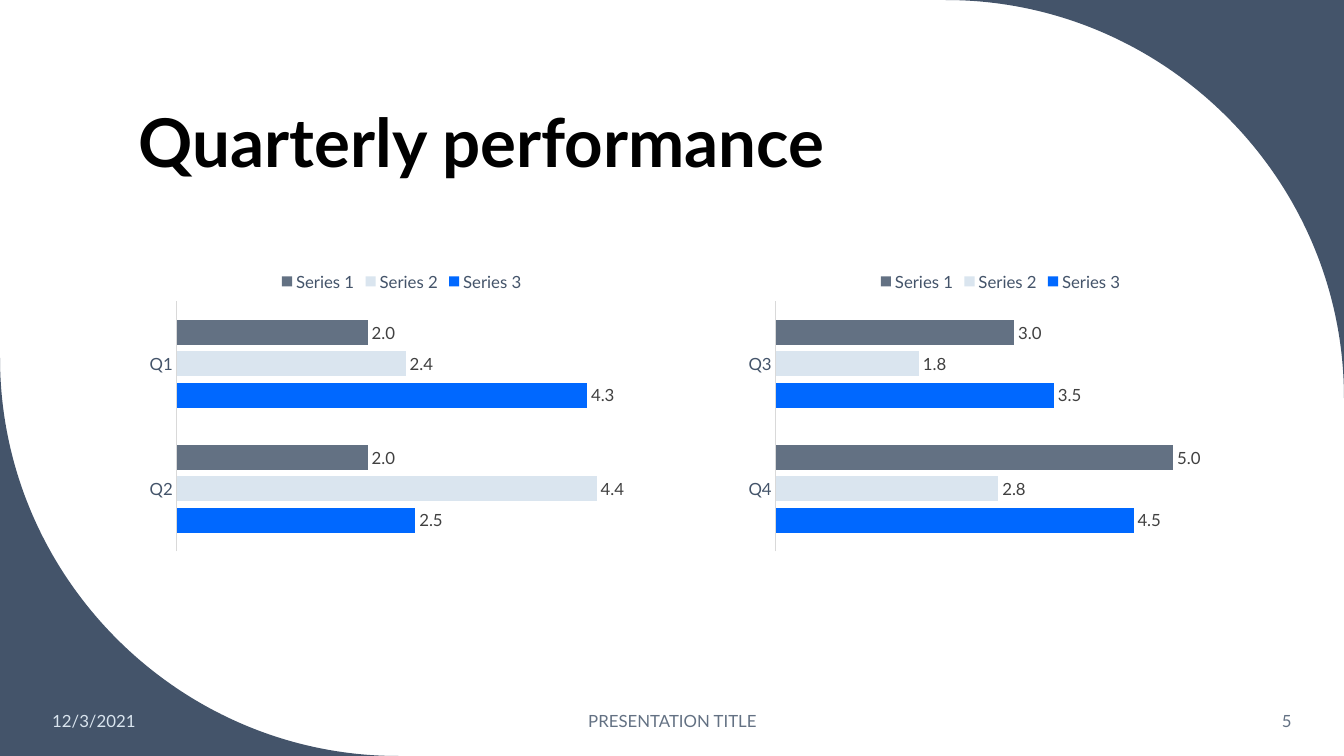
from dataclasses import dataclass

import lxml.etree
import pptx
import pptx.chart.data
import pptx.dml.color
import pptx.enum.chart
import pptx.enum.text
import pptx.oxml.ns
import pptx.util
from pptx.util import Inches

WIDE, HIGH = 13.33, 7.5
RADIUS = 3.95
PULL = 0.55 * RADIUS


@dataclass(frozen=True)
class Theme:
    font: str = "Lato"
    navy: str = "44546A"
    slate: str = "637183"
    pale: str = "DAE5EF"
    blue: str = "0068FF"
    black: str = "000000"
    label: str = "404040"
    rule: str = "D9D9D9"
    title: int = 48
    small: int = 12


THEME = Theme()


def color(code):
    return pptx.dml.color.RGBColor.from_string(code)


def style(font, size, code, bold=False):
    font.name = THEME.font
    font.size = pptx.util.Pt(size)
    font.color.rgb = color(code)
    font.bold = bold


def bend(shape):
    """Turn the last three line segments of a freeform into one Bezier curve."""
    qn = pptx.oxml.ns.qn
    lines = list(shape.element.iter(qn("a:lnTo")))[-3:]
    curve = lxml.etree.Element(qn("a:cubicBezTo"))
    lines[0].addprevious(curve)
    for line in lines:
        curve.append(line[0])
        line.getparent().remove(line)


def add_corner(slide, flip=False):
    """Fill the area outside a quarter circle at top right, or bottom left if flipped."""
    left = WIDE - RADIUS
    points = [(WIDE, 0), (left, 0), (left + PULL, 0), (WIDE, RADIUS - PULL), (WIDE, RADIUS)]
    if flip:
        points = [(WIDE - x, HIGH - y) for x, y in points]
    points = [(Inches(x), Inches(y)) for x, y in points]
    outline = slide.shapes.build_freeform(*points[0])
    outline.add_line_segments(points[1:], close=True)
    corner = outline.convert_to_shape()
    bend(corner)
    corner.shadow.inherit = False
    corner.fill.solid()
    corner.fill.fore_color.rgb = color(THEME.navy)
    corner.line.fill.background()


def add_text(slide, box, text, size, code, align="LEFT", anchor="MIDDLE", bold=False):
    frame = slide.shapes.add_textbox(*map(Inches, box)).text_frame
    frame.word_wrap = True
    frame.vertical_anchor = pptx.enum.text.MSO_ANCHOR[anchor]
    line = frame.paragraphs[0]
    line.text = text
    line.alignment = pptx.enum.text.PP_ALIGN[align]
    style(line.font, size, code, bold)
    return line


def add_bars(slide, left, quarters, rows, top):
    """Draw one clustered bar chart whose value axis runs from 0 to top."""
    data = pptx.chart.data.CategoryChartData(number_format="#,##0.0")
    data.categories = quarters
    for name, values in rows.items():
        data.add_series(name, values)
    kinds = pptx.enum.chart
    chart = slide.shapes.add_chart(
        kinds.XL_CHART_TYPE.BAR_CLUSTERED,
        Inches(left), Inches(2.58), Inches(5.21), Inches(2.95), data,
    ).chart
    style(chart.font, THEME.small, THEME.navy)
    chart.has_title = False
    chart.has_legend = True
    chart.legend.position = kinds.XL_LEGEND_POSITION.TOP
    chart.legend.include_in_layout = False
    style(chart.legend.font, THEME.small, THEME.navy)

    axis = chart.category_axis
    axis.major_tick_mark = kinds.XL_TICK_MARK.NONE
    axis.format.line.color.rgb = color(THEME.rule)
    axis.format.line.width = pptx.util.Pt(0.75)
    style(axis.tick_labels.font, THEME.small, THEME.navy)
    scale = chart.value_axis
    scale.minimum_scale, scale.maximum_scale = 0, top
    scale.has_major_gridlines = False
    scale.visible = False

    plot = chart.plots[0]
    plot.vary_by_categories = False
    plot.gap_width, plot.overlap = 150, -25
    for series, code in zip(plot.series, (THEME.blue, THEME.pale, THEME.slate)):
        series.format.fill.solid()
        series.format.fill.fore_color.rgb = color(code)
        labels = series.data_labels
        labels.show_value = True
        labels.number_format = "#,##0.0"
        labels.number_format_is_linked = False
        labels.position = kinds.XL_LABEL_POSITION.OUTSIDE_END
        style(labels.font, THEME.small, THEME.label)


def main():
    deck = pptx.Presentation()
    deck.slide_width, deck.slide_height = Inches(WIDE), Inches(HIGH)
    slide = deck.slides.add_slide(deck.slide_layouts[6])
    add_corner(slide)
    add_corner(slide, flip=True)

    title = add_text(slide, (1.28, 0.41, 10.69, 1.45), "Quarterly performance",
                     THEME.title, THEME.black, anchor="BOTTOM", bold=True)
    title.line_spacing = 0.9

    add_bars(slide, 1.38, ("Q2", "Q1"), {
        "Series 3": (2.5, 4.3),
        "Series 2": (4.4, 2.4),
        "Series 1": (2.0, 2.0),
    }, top=5)
    add_bars(slide, 7.32, ("Q4", "Q3"), {
        "Series 3": (4.5, 3.5),
        "Series 2": (2.8, 1.8),
        "Series 1": (5.0, 3.0),
    }, top=6)

    footers = (
        (0.42, 1.86, "12/3/2021", THEME.pale, "LEFT"),
        (4.42, 4.5, "PRESENTATION TITLE", THEME.slate, "CENTER"),
        (11.1, 1.81, "5", THEME.slate, "RIGHT"),
    )
    for left, width, text, code, align in footers:
        add_text(slide, (left, 6.95, width, 0.4), text, THEME.small, code, align)
    deck.save("out.pptx")


if __name__ == "__main__":
    main()
